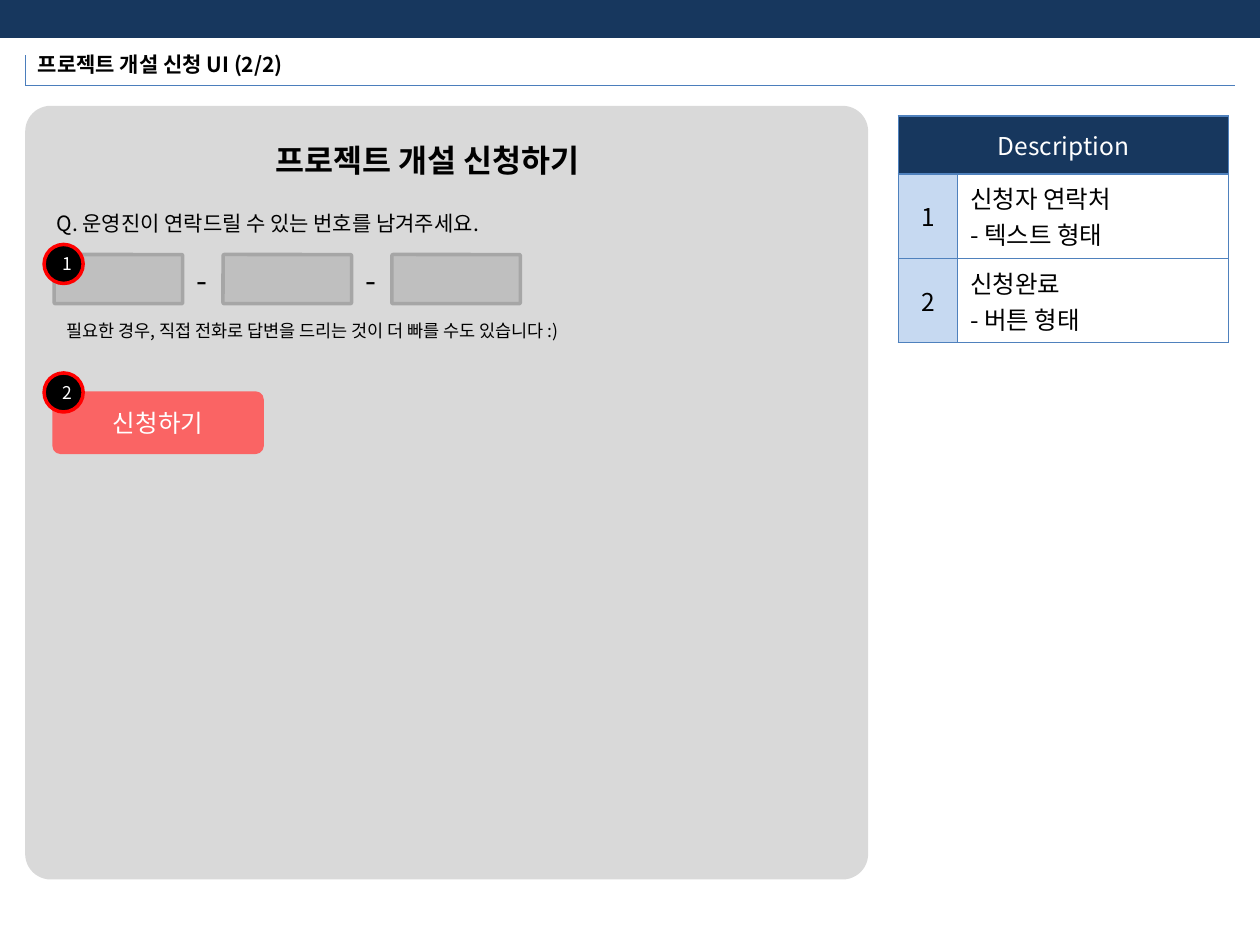
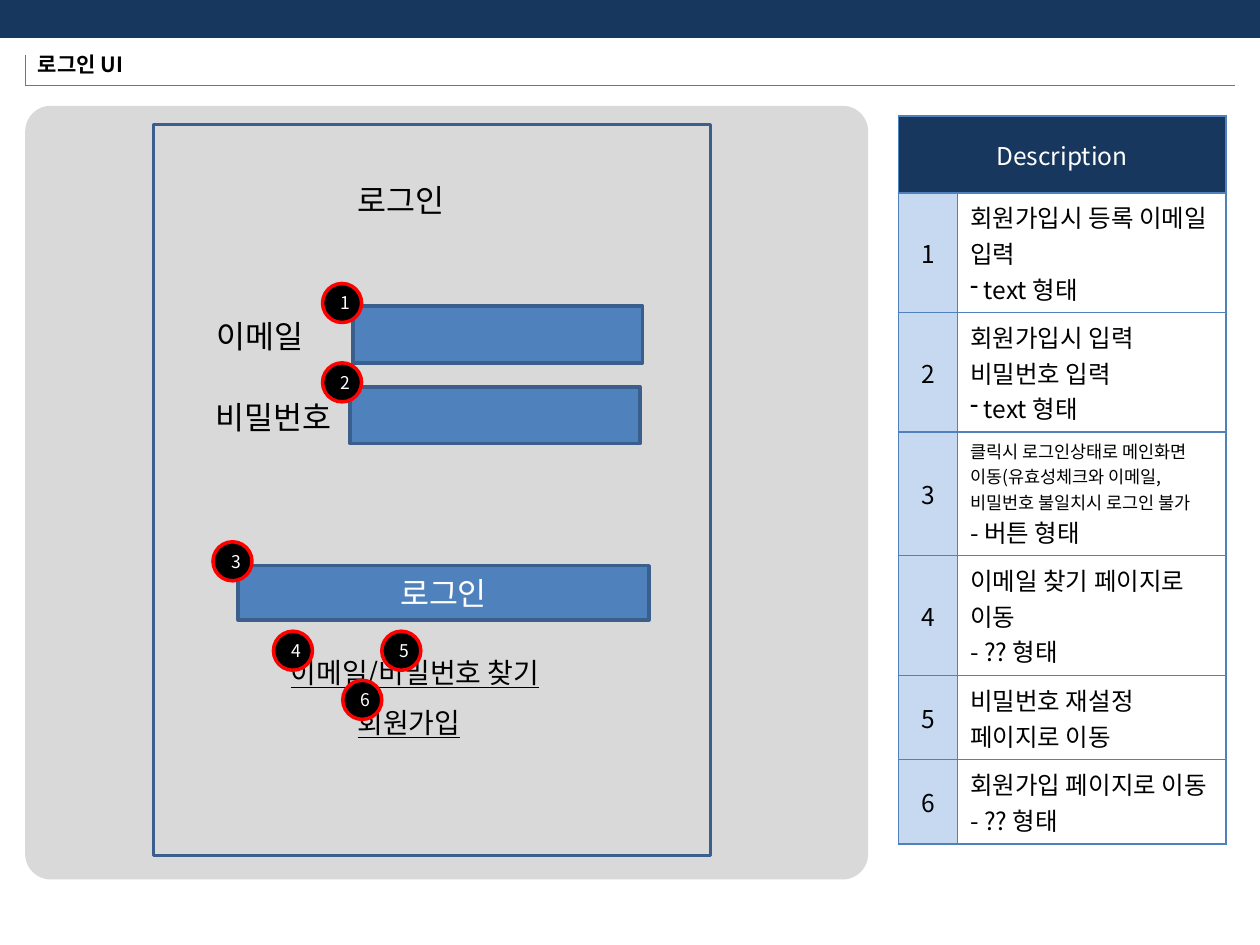
"""Build two UI description slides: a project request form and a login screen."""
from lxml.etree import SubElement as Sub
from pptx import Presentation
from pptx.dml.color import RGBColor as RGB
from pptx.enum.shapes import MSO_CONNECTOR as LINK, MSO_SHAPE as GEO
from pptx.enum.text import MSO_ANCHOR as ANCHOR, MSO_AUTO_SIZE as AUTO, PP_ALIGN as ALIGN
from pptx.oxml.ns import qn
from pptx.util import Inches, Pt

FONT = "Noto Sans CJK KR"
NAVY = RGB(0x17, 0x37, 0x5E)
BLUE = RGB(0x4F, 0x81, 0xBD)
EDGE = RGB(0x3A, 0x5F, 0x8C)
RULE = RGB(0x4B, 0x7E, 0xBC)
PALE = RGB(0xC6, 0xD9, 0xF1)
PANEL = RGB(0xD9, 0xD9, 0xD9)
FIELD = RGB(0xBF, 0xBF, 0xBF)
RIM = RGB(0xA6, 0xA6, 0xA6)
CORAL = RGB(0xFA, 0x64, 0x64)
RED = RGB(0xFF, 0, 0)
BLACK = RGB(0, 0, 0)
WHITE = RGB(0xFF, 0xFF, 0xFF)

FORM_ROWS = [
    (0.67, ["신청자 연락처", "- 텍스트 형태"]),
    (0.67, ["신청완료", "- 버튼 형태"]),
]
LOGIN_ROWS = [
    (0.95, ["회원가입시 등록 이메일 입력", (" text 형태", 14, "-")]),
    (0.95, ["회원가입시 입력 비밀번호 입력", (" text 형태", 14, "-")]),
    (0.98, [("클릭시 로그인상태로 메인화면 이동(유효성체크와 이메일,비밀번호 불일치시 로그인 불가", 10, None),
            "- 버튼 형태"]),
    (0.95, ["이메일 찾기 페이지로 이동", "- ?? 형태"]),
    (0.67, ["비밀번호 재설정 페이지로 이동"]),
    (0.67, ["회원가입 페이지로 이동", "- ?? 형태"]),
]


def write(para, text, size, color=BLACK, align=ALIGN.LEFT, bullet=None, **style):
    """Write one formatted run into a paragraph."""
    para.alignment = align
    if bullet:
        props = para._p.get_or_add_pPr()
        Sub(props, qn("a:buFontTx"))
        Sub(props, qn("a:buChar"), char=bullet)
    run = para.add_run()
    run.text = text
    for name, value in {"size": Pt(size), "name": FONT, **style}.items():
        setattr(run.font, name, value)
    run.font.color.rgb = color
    Sub(run._r.get_or_add_rPr(), qn("a:ea"), typeface=FONT)


def place(shape, box):
    """Move and size a shape to a box in inches."""
    for name, value in zip(("left", "top", "width", "height"), box):
        setattr(shape, name, Inches(value))


def fit(frame, anchor=ANCHOR.TOP):
    """Keep text on one line in a frame that grows with it."""
    values = {"word_wrap": False, "auto_size": AUTO.SHAPE_TO_FIT_TEXT, "vertical_anchor": anchor}
    for name, value in values.items():
        setattr(frame, name, value)


def label(slide, box, text, size, **style):
    """Add a one-line text box."""
    frame = slide.shapes.add_textbox(*map(Inches, box)).text_frame
    fit(frame)
    write(frame.paragraphs[0], text, size, **style)


def block(slide, geo, box, fill=None, line=None, text="", size=18, round=None):
    """Add a preset shape with optional fill, outline and centred text."""
    shape = slide.shapes.add_shape(geo, *map(Inches, box))
    shape.shadow.inherit = False
    if round is not None:
        shape.adjustments[0] = round
    for part, color in ((shape.fill, fill), (shape.line.fill, line)):
        if color is None:
            part.background()
        else:
            part.solid()
            part.fore_color.rgb = color
    if line is not None:
        shape.line.width = Pt(2)
    if text:
        shape.text_frame.vertical_anchor = ANCHOR.MIDDLE
        write(shape.text_frame.paragraphs[0], text, size, WHITE, ALIGN.CENTER)


def rule(slide, *ends):
    """Add a thin straight line."""
    line = slide.shapes.add_connector(LINK.STRAIGHT, *map(Inches, ends))
    line.line.color.rgb = RULE
    line.line.width = Pt(0.75)
    Sub(line._element.spPr, qn("a:effectLst"))


def badges(slide, spots):
    """Add numbered round markers at the given corners."""
    for num, (left, top) in enumerate(spots, 1):
        block(slide, GEO.OVAL, (left, top, 0.31, 0.31), BLACK, RED, str(num), 10)


def paint(cell, fill):
    """Give a table cell its borders, fill and middle anchor."""
    cell.vertical_anchor = ANCHOR.MIDDLE
    props = cell._tc.get_or_add_tcPr()
    for side in ("lnL", "lnR", "lnT", "lnB"):
        line = Sub(props, qn(f"a:{side}"), w=str(Pt(1)))
        Sub(Sub(line, qn("a:solidFill")), qn("a:srgbClr"), val=str(BLUE))
    cell.fill.solid()
    cell.fill.fore_color.rgb = fill


def notes(slide, width, head, rows):
    """Add the numbered description table."""
    tall = head + sum(high for high, _ in rows)
    box = map(Inches, (7.13, 0.92, width, tall))
    table = slide.shapes.add_table(len(rows) + 1, 2, *box).table
    table.horz_banding = False
    for col, wide in zip(table.columns, (0.47, width - 0.47)):
        col.width = Inches(wide)
    for row, high in zip(table.rows, [head] + [high for high, _ in rows]):
        row.height = Inches(high)
    top = table.cell(0, 0)
    top.merge(table.cell(0, 1))
    for col in range(2):
        paint(table.cell(0, col), NAVY)
    write(top.text_frame.paragraphs[0], "Description", 14, WHITE, ALIGN.CENTER)
    for num, (_, lines) in enumerate(rows, 1):
        key, body = table.cell(num, 0), table.cell(num, 1)
        paint(key, PALE)
        paint(body, WHITE)
        write(key.text_frame.paragraphs[0], str(num), 14, align=ALIGN.CENTER)
        for pos, line in enumerate(lines):
            text, size, bullet = (line, 14, None) if isinstance(line, str) else line
            frame = body.text_frame
            para = frame.add_paragraph() if pos else frame.paragraphs[0]
            write(para, text, size, bullet=bullet)


def start(deck, title, width):
    """Add a slide with the shared band, title, rules and grey panel."""
    slide = deck.slides.add_slide(deck.slide_layouts[5])
    head = slide.shapes.title
    place(head, (0.2, 0.36, width, 0.3))
    fit(head.text_frame)
    write(head.text_frame.paragraphs[0], title, 12, bold=True)
    block(slide, GEO.RECTANGLE, (0, 0, 10, 0.29), NAVY, NAVY)
    rule(slide, 0.2, 0.44, 0.2, 0.68)
    rule(slide, 0.2, 0.68, 9.8, 0.68)
    block(slide, GEO.ROUNDED_RECTANGLE, (0.2, 0.84, 6.69, 6.14), PANEL, round=0.033)
    return slide


def form(deck):
    """Build the project request slide."""
    slide = start(deck, "프로젝트 개설 신청 UI (2/2)", 2.35)
    notes(slide, 2.62, 0.46, FORM_ROWS)
    label(slide, (2.09, 1.07, 2.91, 0.4), "프로젝트 개설 신청하기", 18, bold=True)
    label(slide, (0.35, 1.62, 3.91, 0.3), "Q. 운영진이 연락드릴 수 있는 번호를 남겨주세요.", 12)
    label(slide, (0.43, 2.49, 4.63, 0.27),
          "필요한 경우, 직접 전화로 답변을 드리는 것이 더 빠를 수도 있습니다 :)", 10)
    for pos in range(3):
        left = 0.43 + 1.34 * pos
        block(slide, GEO.ROUNDED_RECTANGLE, (left, 2.02, 1.02, 0.39), FIELD, RIM, round=0.027)
        if pos:
            label(slide, (left - 0.31, 2.02, 0.31, 0.4), "-", 18)
    block(slide, GEO.ROUNDED_RECTANGLE, (0.43, 3.12, 1.65, 0.47), CORAL, CORAL,
          "신청하기", 14, 0.11)
    badges(slide, [(0.35, 1.94), (0.35, 2.96)])


def login(deck):
    """Build the login slide."""
    slide = start(deck, "로그인 UI", 0.94)
    notes(slide, 2.6, 0.61, LOGIN_ROWS)
    block(slide, GEO.RECTANGLE, (1.22, 0.99, 4.42, 5.8), line=EDGE)
    label(slide, (2.74, 1.39, 0.96, 0.4), "로그인", 18)
    for name, left, wide, field, top in (("이메일", 1.62, 0.96, 2.8, 2.43),
                                         ("비밀번호", 1.61, 1.21, 2.78, 3.07)):
        block(slide, GEO.RECTANGLE, (field, top, 2.3, 0.45), BLUE, EDGE)
        label(slide, (left, top + 0.04, wide, 0.4), name, 18)
    block(slide, GEO.RECTANGLE, (1.89, 4.49, 3.26, 0.43), BLUE, EDGE, "로그인")
    label(slide, (2.21, 5.15, 2.39, 0.37), "이메일/비밀번호 찾기", 16, underline=True)
    label(slide, (2.74, 5.55, 1.1, 0.37), "회원가입", 16, underline=True)
    badges(slide, [(2.56, 2.25), (2.56, 2.88), (1.69, 4.3),
                   (2.17, 5.01), (3.03, 5.01), (2.72, 5.4)])


def main():
    """Build and save the deck."""
    deck = Presentation()
    deck.slide_width, deck.slide_height = Inches(10), Inches(7.5)
    form(deck)
    login(deck)
    deck.save("out.pptx")


if __name__ == "__main__":
    main()
